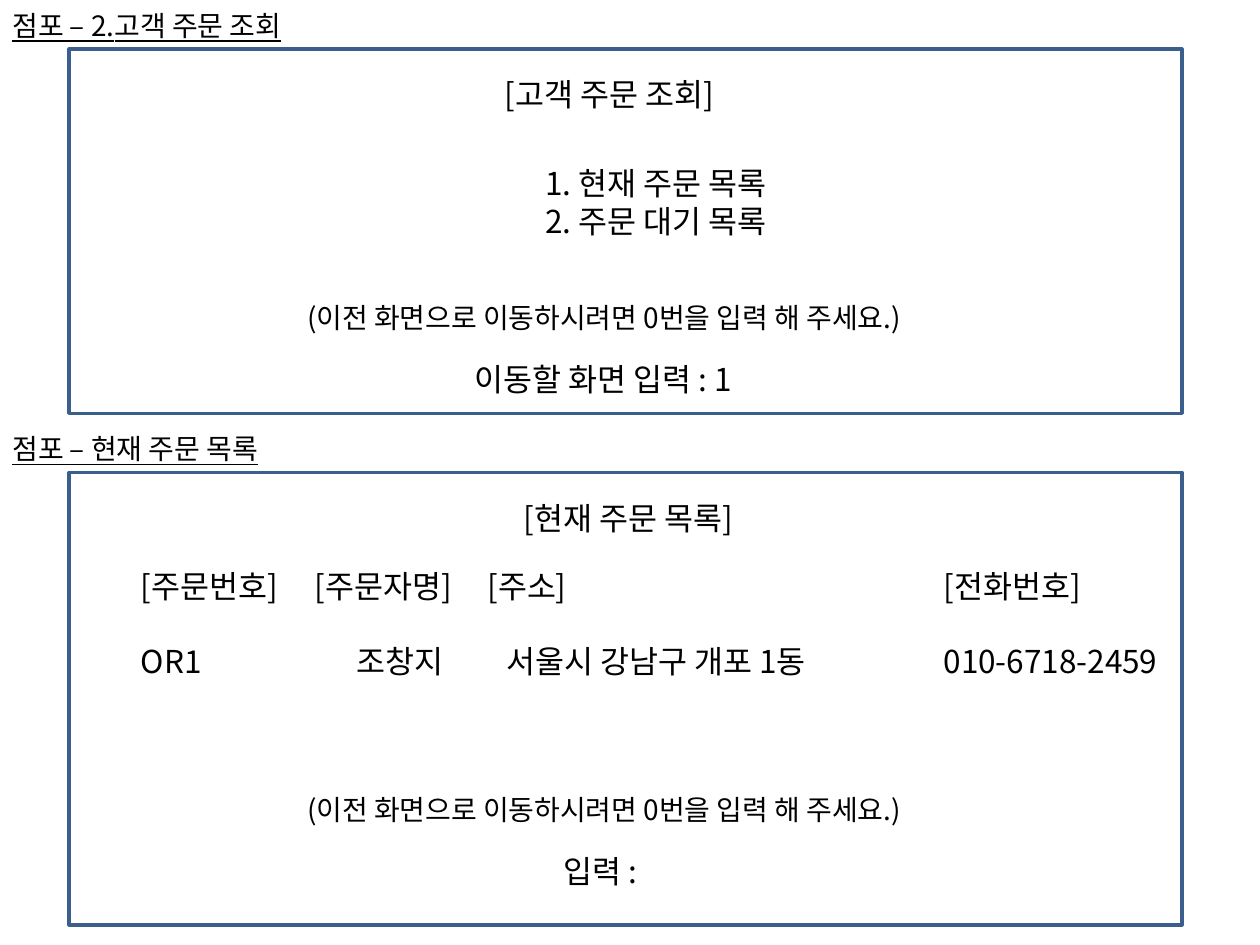
import pptx
import pptx.util
import pptx.dml.color
import pptx.enum.shapes
import pptx.oxml.ns
import lxml.etree

Inches, Pt = pptx.util.Inches, pptx.util.Pt
COLORS = {"line": "3A5F8C", "text": "000000"}
FACE = "Noto Sans CJK KR"
BACK = "(이전 화면으로 이동하시려면 0번을 입력 해 주세요.)"


def color(key):
    """Return a named colour."""
    return pptx.dml.color.RGBColor.from_string(COLORS[key])


def add_text(slide, box, lines, size=18, under=None):
    """Write lines of text in a box."""
    shape = slide.shapes.add_textbox(*map(Inches, box))
    frame = shape.text_frame
    frame.word_wrap = True
    for i, line in enumerate(lines):
        para = frame.paragraphs[0] if i == 0 else frame.add_paragraph()
        run = para.add_run()
        run.text = line
        style = {"size": Pt(size), "name": FACE, "underline": under}
        for key, value in style.items():
            setattr(run.font, key, value)
        run.font.color.rgb = color("text")
        lxml.etree.SubElement(run._r.get_or_add_rPr(),
                              pptx.oxml.ns.qn("a:ea"), typeface=FACE)


def add_panel(slide, box, label, title, shift, prompt, start, foot):
    """Draw a framed screen with its label, title, hint and prompt."""
    x, y, w, h = box
    kind = pptx.enum.shapes.MSO_SHAPE.RECTANGLE
    frame = slide.shapes.add_shape(kind, *map(Inches, box))
    frame.shadow.inherit = False
    frame.fill.background()
    frame.line.color.rgb = color("line")
    frame.line.width = Pt(2)
    add_text(slide, (0, y - 0.37, 2.89, 0.37), [label], 16, True)
    add_text(slide, (x + shift, y + 0.16, 2.66, 0.4), [title])
    add_text(slide, (x + 1.79, y + foot, 5.94, 0.37), [BACK], 16)
    add_text(slide, (x + start, y + foot + 0.47, 2.58, 0.4), [prompt])


def add_menu(slide, box):
    """Show the order menu screen."""
    add_panel(slide, box, "점포 – 2.고객 주문 조회", "[고객 주문 조회]", 3.36,
              "이동할 화면 입력 : 1", 3.12, 1.95)
    x, y, w, h = box
    items = ["1. 현재 주문 목록", "2. 주문 대기 목록"]
    add_text(slide, (x + 3.68, y + 0.86, 4.05, 0.71), items)


def add_orders(slide, box):
    """Show the current orders screen."""
    add_panel(slide, box, "점포 – 현재 주문 목록", "[현재 주문 목록]", 3.51,
              "입력 :", 3.82, 2.49)
    x, y, w, h = box
    rows = [
        [("[주문번호]", 0.47, 1.5), ("[주문자명]", 1.85, 1.5),
         ("[주소]", 3.22, 1.2), ("[전화번호]", 6.84, 1.95)],
        [("OR1", 0.47, 1.5), ("조창지", 2.18, 1.1),
         ("서울시 강남구 개포 1동", 3.37, 3.2), ("010-6718-2459", 6.84, 1.95)],
    ]
    for i, row in enumerate(rows):
        for text, left, width in row:
            add_text(slide, (x + left, y + 0.7 + 0.6 * i, width, 0.4), [text])


def main():
    """Build and save the slide."""
    deck = pptx.Presentation()
    deck.slide_width, deck.slide_height = Inches(10), Inches(7.5)
    slide = deck.slides.add_slide(deck.slide_layouts[6])
    add_menu(slide, (0.55, 0.39, 8.83, 2.89))
    add_orders(slide, (0.55, 3.75, 8.83, 3.59))
    deck.save("out.pptx")


main()
